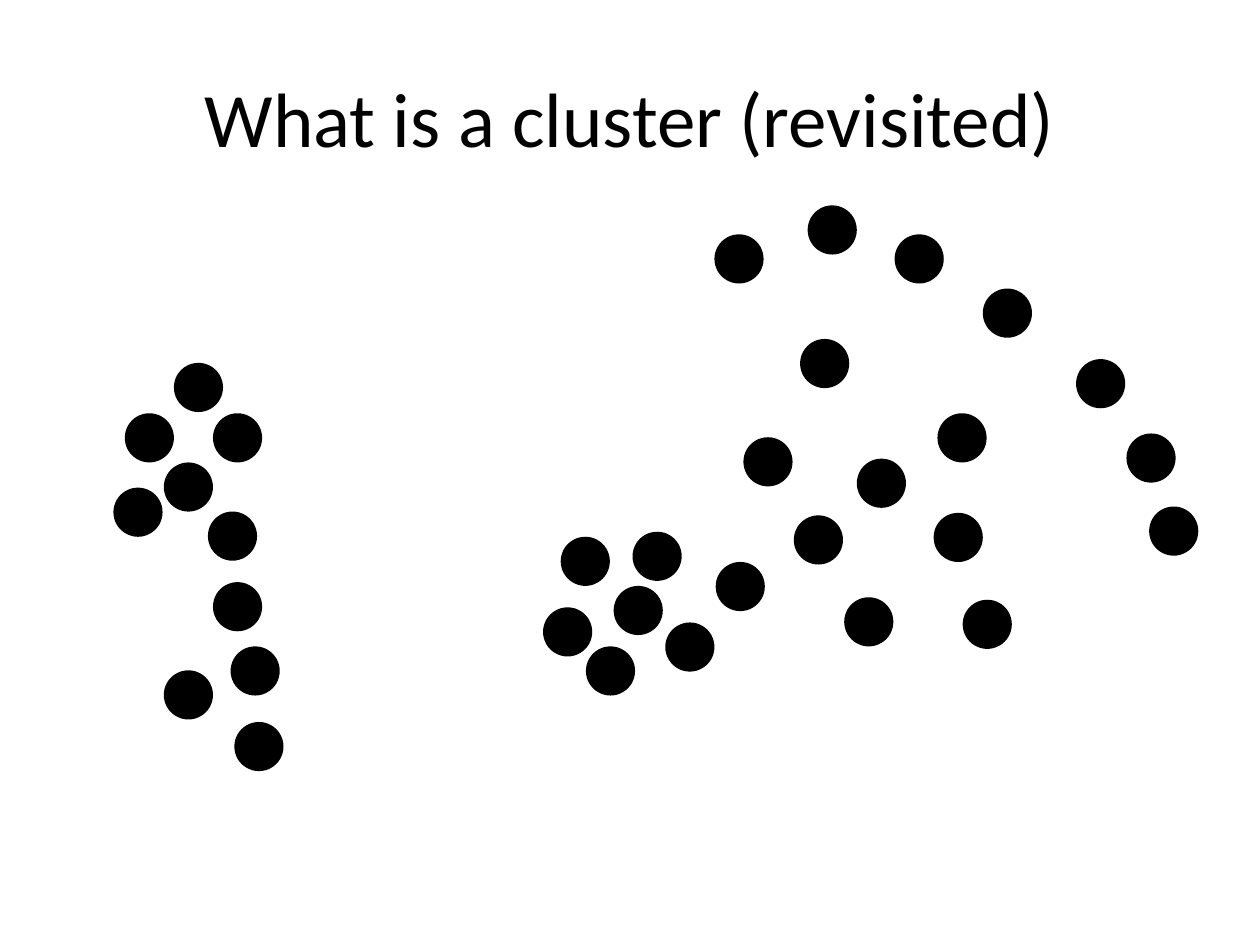
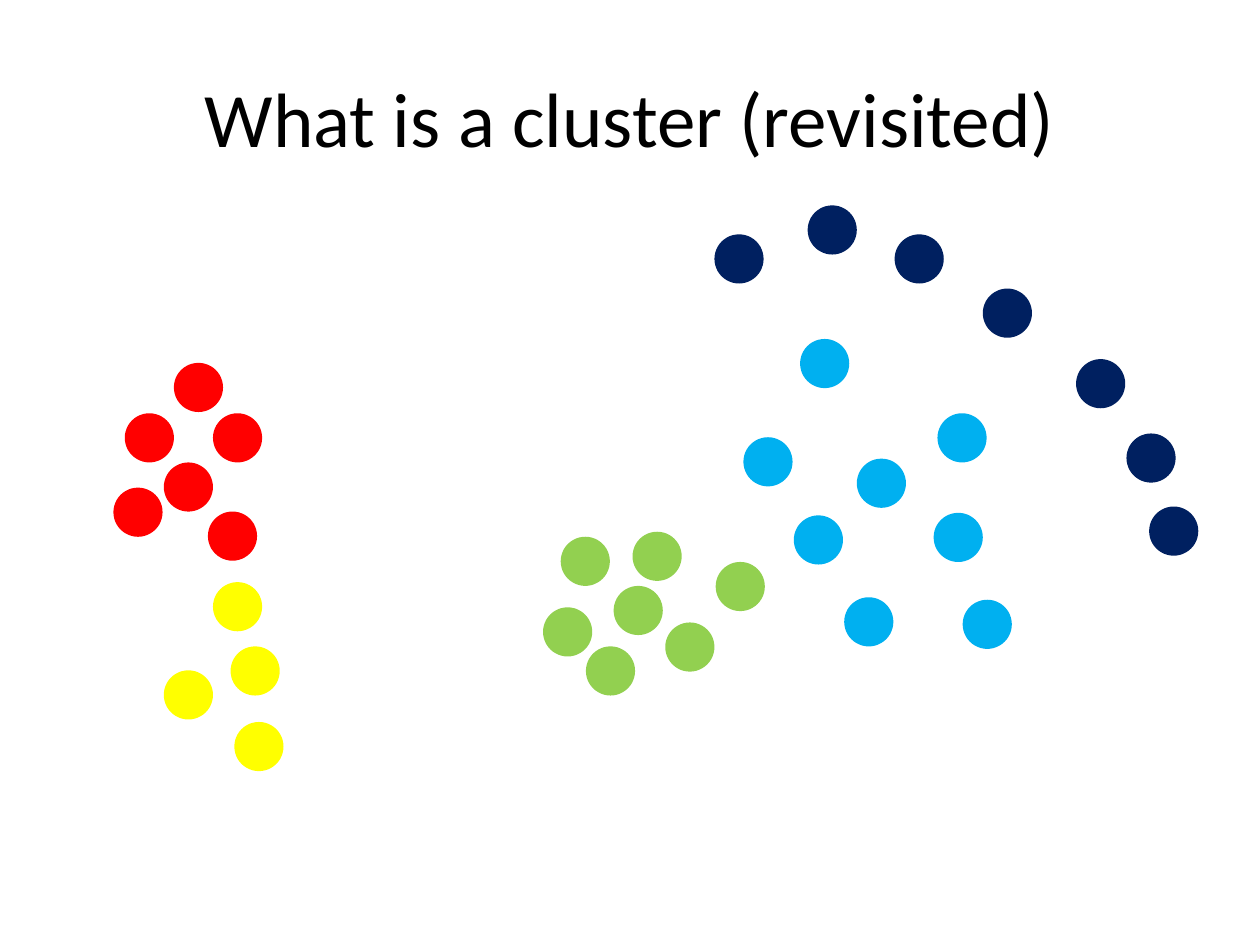
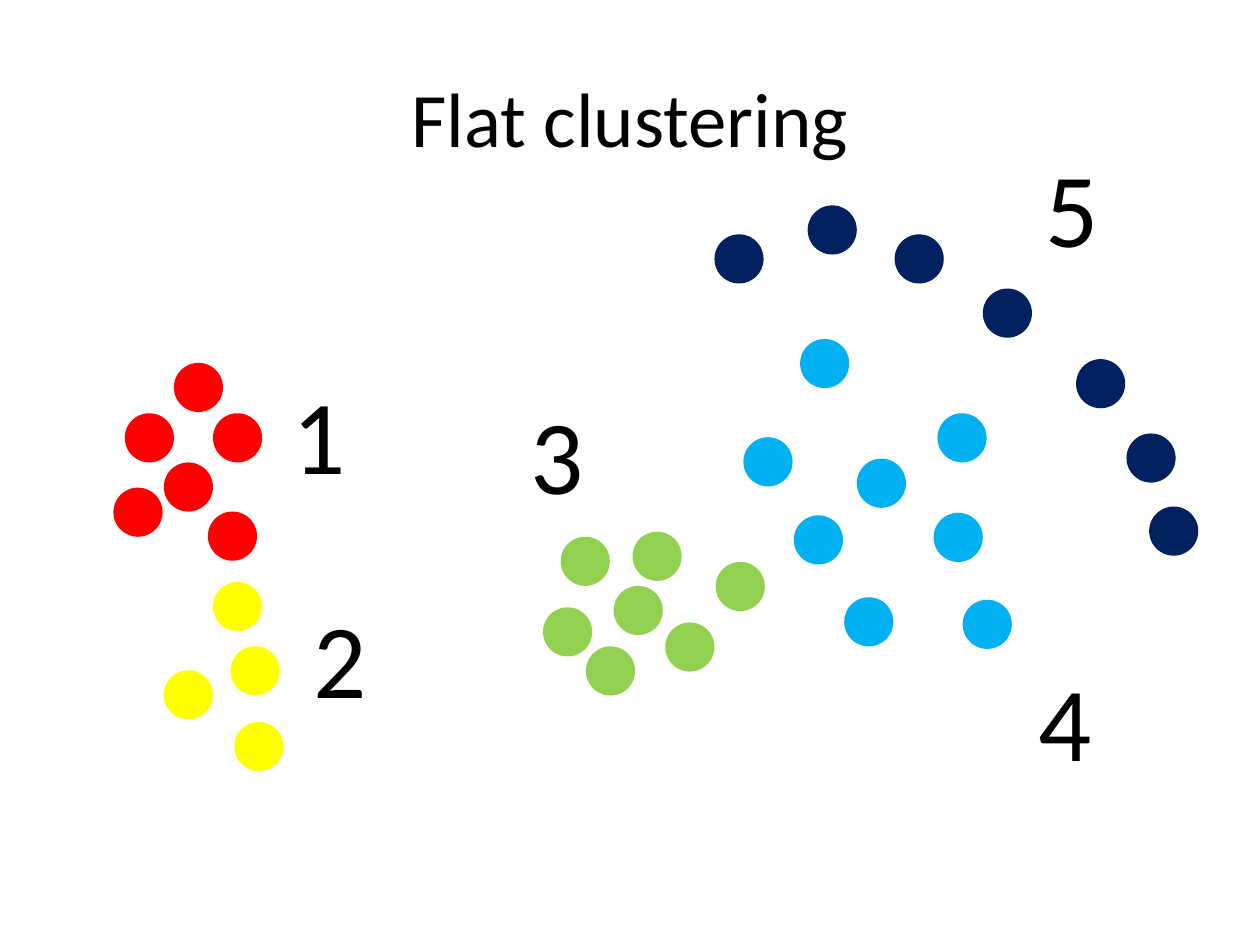
import collections

import pptx
import pptx.dml.color
import pptx.enum.shapes
import pptx.enum.text
import pptx.util

COLORS = {
    "text": "000000",
    "dot": "000000",
    "yellow": "FFFF00",
    "red": "FF0000",
    "green": "92D050",
    "sky": "00B0F0",
    "navy": "002060",
}
FONT = "Calibri"

# The slide is a grid of 100 columns by 75 rows.
COLUMNS, ROWS = 100, 75
CELL = pptx.util.Inches(0.1)

Box = collections.namedtuple("Box", "left top width height")
TITLE_BOX = Box(5, 3, 90, 12.5)
PLOT_BOX = Box(9, 16, 87, 46)
DOT_SIZE = 3.9
LABEL_WIDTH, LABEL_HEIGHT = 8.1, 11.1

# Positions are columns and rows from the corner of the plot box.
Cluster = collections.namedtuple("Cluster", "color label label_at dots")
CLUSTERS = [
    Cluster("yellow", "2", (14.9, 30.6),
            [(4, 37.2), (9.6, 41.3), (9.3, 35.3), (7.9, 30.2)]),
    Cluster("red", "1", (13.2, 12.8),
            [(7.5, 24.6), (4, 20.7), (0, 22.7), (0.9, 16.8), (7.9, 16.8),
             (4.8, 12.8)]),
    Cluster("green", "3", (32.1, 14.4),
            [(35.5, 26.6), (34.1, 32.2), (39.7, 30.5), (37.5, 35.3),
             (43.8, 33.4), (41.2, 26.2), (47.8, 28.6)]),
    Cluster("sky", "4", (72.4, 35.6),
            [(50, 18.7), (54, 24.9), (58, 31.4), (54.5, 10.9), (65.4, 16.8),
             (59, 20.4), (67.4, 31.6), (65.1, 24.7)]),
    Cluster("navy", "5", (73, -5.2),
            [(47.7, 2.6), (55.1, 0.3), (62, 2.6), (69, 6.9), (76.4, 12.5),
             (80.4, 18.4), (82.2, 24.2)]),
]


def rgb(name):
    return pptx.dml.color.RGBColor.from_string(COLORS[name])


def to_lengths(box):
    return [round(value * CELL) for value in box]


def add_text(page, box, text, size):
    frame = page.shapes.add_textbox(*to_lengths(box)).text_frame
    frame.word_wrap = True
    para = frame.paragraphs[0]
    para.text = text
    para.font.name = FONT
    para.font.size = pptx.util.Pt(size)
    para.font.color.rgb = rgb("text")
    return frame


def add_title(page, box, text):
    frame = add_text(page, box, text, 44)
    frame.vertical_anchor = pptx.enum.text.MSO_ANCHOR.MIDDLE
    frame.paragraphs[0].alignment = pptx.enum.text.PP_ALIGN.CENTER


def add_dots(shapes, box, colored):
    for cluster in CLUSTERS:
        for column, row in cluster.dots:
            dot_box = Box(box.left + column, box.top + row, DOT_SIZE, DOT_SIZE)
            dot = shapes.add_shape(pptx.enum.shapes.MSO_SHAPE.OVAL,
                                   *to_lengths(dot_box))
            dot.shadow.inherit = False
            dot.fill.solid()
            dot.fill.fore_color.rgb = rgb(cluster.color if colored else "dot")
            dot.line.fill.background()


def add_labels(page, box):
    for cluster in sorted(CLUSTERS, key=lambda cluster: cluster.label):
        column, row = cluster.label_at
        label_box = Box(box.left + column, box.top + row,
                        LABEL_WIDTH, LABEL_HEIGHT)
        frame = add_text(page, label_box, cluster.label, 60)
        frame.auto_size = pptx.enum.text.MSO_AUTO_SIZE.SHAPE_TO_FIT_TEXT


def add_cluster_slide(deck, title, colored=True, labelled=False):
    page = deck.slides.add_slide(deck.slide_layouts[6])
    add_title(page, TITLE_BOX, title)
    shapes = page.shapes.add_group_shape().shapes if labelled else page.shapes
    add_dots(shapes, PLOT_BOX, colored)
    if labelled:
        add_labels(page, PLOT_BOX)


def main():
    deck = pptx.Presentation()
    deck.slide_width = COLUMNS * CELL
    deck.slide_height = ROWS * CELL
    add_cluster_slide(deck, "What is a cluster (revisited)", colored=False)
    add_cluster_slide(deck, "What is a cluster (revisited)")
    add_cluster_slide(deck, "Flat clustering", labelled=True)
    deck.save("out.pptx")


if __name__ == "__main__":
    main()
